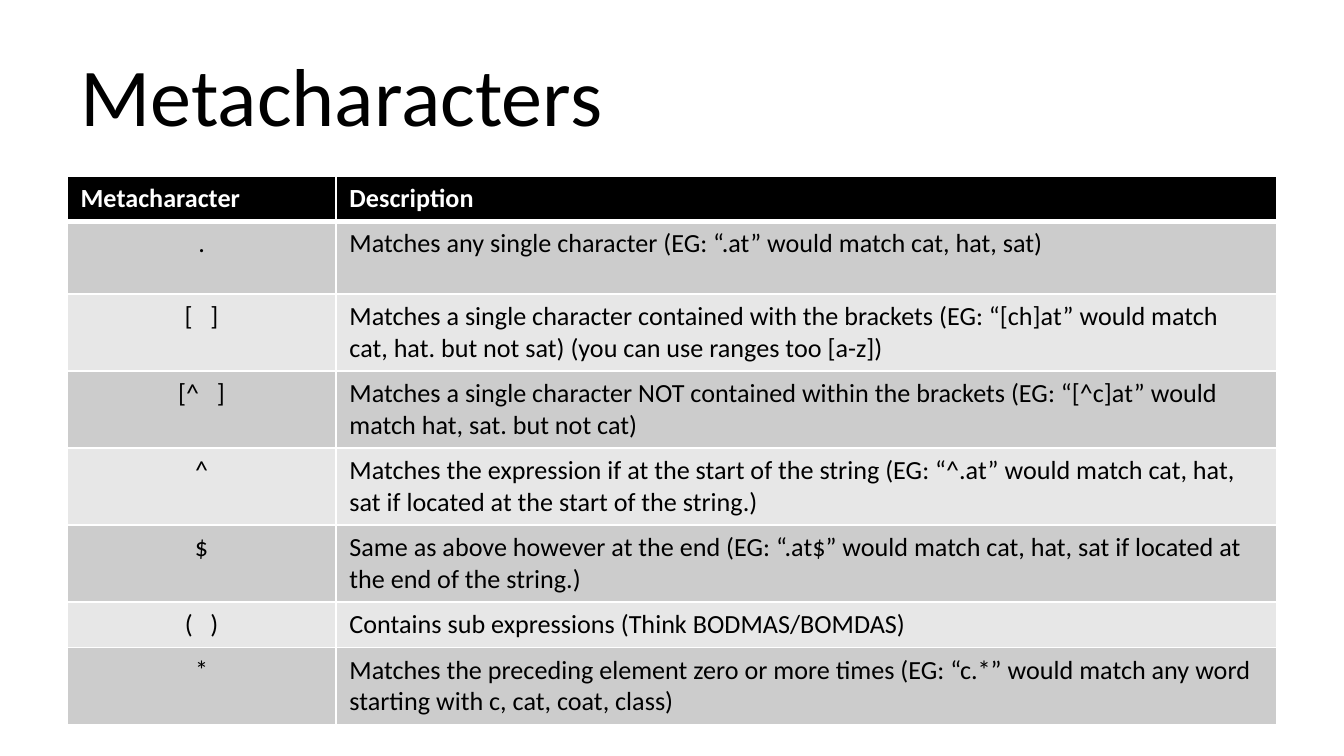
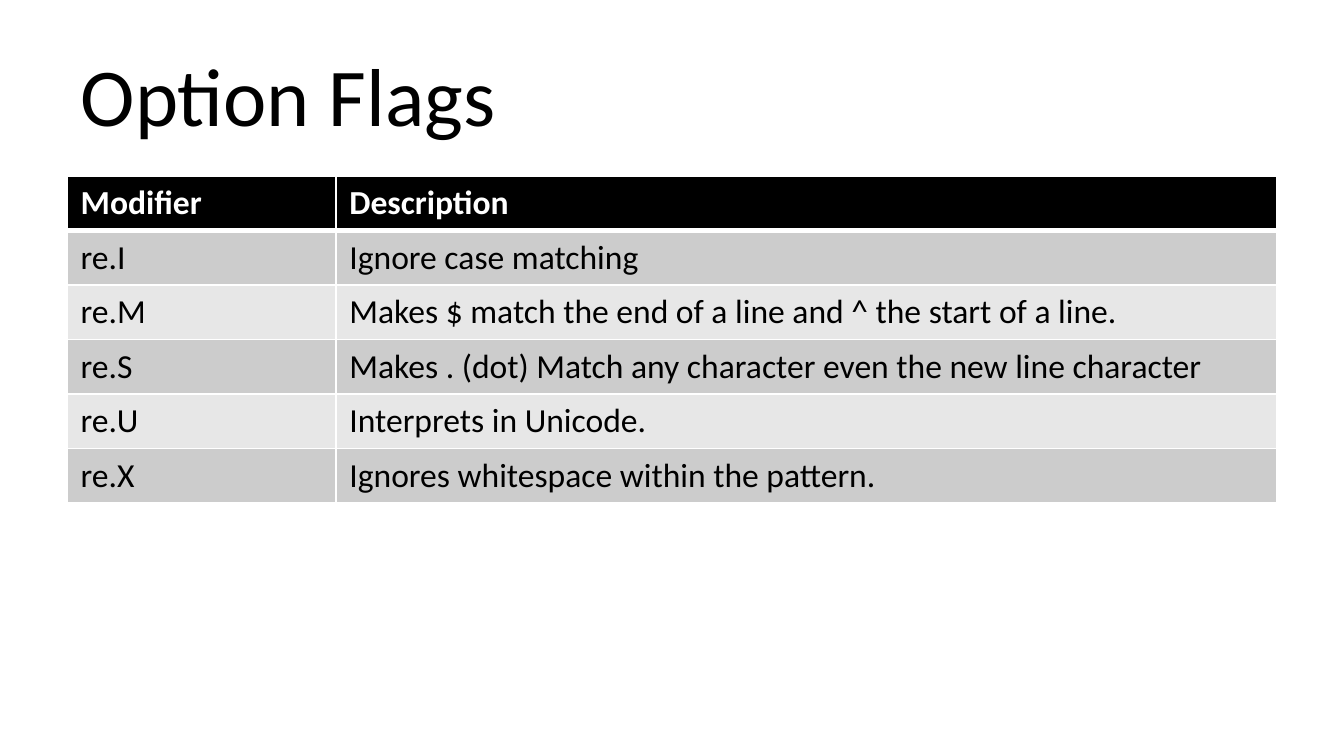
from lxml.etree import SubElement
from pptx import Presentation
from pptx.dml.color import RGBColor
from pptx.enum.text import MSO_ANCHOR as Anchor, MSO_AUTO_SIZE as AutoSize, PP_ALIGN as Align
from pptx.oxml.ns import qn
from pptx.util import Inches, Pt

# Content
SLIDES = [
    {
        "title": "Metacharacters",
        "size": 14,
        "key_align": Align.CENTER,
        "line_heights": {1: 0.31, 2: 0.54},
        "header": ("Metacharacter", "Description"),
        # key, description, lines of room
        "rows": [
            (".", "Matches any single character (EG: “.at” would match cat, hat, sat)", 2),
            ("[   ]", "Matches a single character contained with the brackets (EG: “[ch]at” "
             "would match cat, hat. but not sat) (you can use ranges too [a-z])", 2),
            ("[^   ]", "Matches a single character NOT contained within the brackets "
             "(EG: “[^c]at” would match hat, sat. but not cat)", 2),
            ("^", "Matches the expression if at the start of the string (EG: “^.at” would "
             "match cat, hat, sat if located at the start of the string.)", 2),
            ("$", "Same as above however at the end (EG: “.at$” would match cat, hat, sat "
             "if located at the end of the string.)", 2),
            ("(   )", "Contains sub expressions (Think BODMAS/BOMDAS)", 1),
            ("*", "Matches the preceding element zero or more times (EG: “c.*” would match "
             "any word starting with c, cat, coat, class)", 2),
        ],
    },
    {
        "title": "Option Flags",
        "size": 18,
        "key_align": Align.LEFT,
        "line_heights": {1: 2.43 / 6},
        "header": ("Modifier", "Description"),
        "rows": [
            ("re.I", "Ignore case matching", 1),
            ("re.M", "Makes $ match the end of a line and ^ the start of a line.", 1),
            ("re.S", "Makes . (dot) Match any character even the new line character", 1),
            ("re.U", "Interprets in Unicode.", 1),
            ("re.X", "Ignores whitespace within the pattern.", 1),
        ],
    },
]

# Shared style
FONT = "Calibri"
BLACK, WHITE = "000000", "FFFFFF"
BANDS = ("CCCCCC", "E7E7E7")
THIN, THICK = 1, 3
WIDTH = 10
HEIGHT = WIDTH * 9 / 16
MARGIN = WIDTH / 20
TITLE_TOP, TITLE_HEIGHT = 0.23, 0.94
TABLE_TOP = 1.31
COLUMNS = (2, 7)


def color(value):
    return RGBColor.from_string(value)


def write(frame, text, size, ink, bold=False, align=Align.LEFT):
    para = frame.paragraphs[0]
    para.alignment = align
    span = para.add_run()
    span.text = text
    span.font.name, span.font.size, span.font.bold = FONT, Pt(size), bold
    span.font.color.rgb = color(ink)


def add_borders(cell, top, bottom):
    """Draw white borders; call before the fill, which must follow them in the XML."""
    props = cell._tc.get_or_add_tcPr()
    for side, width in (("L", THIN), ("R", THIN), ("T", top), ("B", bottom)):
        line = SubElement(props, qn(f"a:ln{side}"), w=str(Pt(width)))
        fill = SubElement(line, qn("a:solidFill"))
        SubElement(fill, qn("a:srgbClr"), val=WHITE)


def add_title(page, text):
    box = page.shapes.title
    box.left, box.top = Inches(MARGIN), Inches(TITLE_TOP)
    box.width, box.height = Inches(WIDTH - 2 * MARGIN), Inches(TITLE_HEIGHT)
    frame = box.text_frame
    frame.word_wrap, frame.auto_size = True, AutoSize.NONE
    frame.vertical_anchor = Anchor.MIDDLE
    write(frame, text, 44, BLACK)


def add_reference_table(page, content):
    rows = [(*content["header"], 1), *content["rows"]]
    heights = [content["line_heights"][lines] for *_, lines in rows]
    table = page.shapes.add_table(
        len(rows), len(COLUMNS), Inches(MARGIN), Inches(TABLE_TOP),
        Inches(sum(COLUMNS)), Inches(sum(heights))).table
    for column, width in zip(table.columns, COLUMNS):
        column.width = Inches(width)

    for r, (key, description, _) in enumerate(rows):
        table.rows[r].height = Inches(heights[r])
        is_header = r == 0
        for c, text in enumerate((key, description)):
            cell = table.cell(r, c)
            add_borders(cell, THICK if r == 1 else THIN, THICK if is_header else THIN)
            cell.fill.solid()
            cell.fill.fore_color.rgb = color(BLACK if is_header else BANDS[(r - 1) % 2])
            is_key = c == 0 and not is_header
            write(cell.text_frame, text, content["size"],
                  WHITE if is_header else BLACK, bold=is_header,
                  align=content["key_align"] if is_key else Align.LEFT)


def main():
    deck = Presentation()
    deck.slide_width, deck.slide_height = Inches(WIDTH), Inches(HEIGHT)
    title_only = deck.slide_layouts[5]
    for content in SLIDES:
        page = deck.slides.add_slide(title_only)
        page.background.fill.solid()
        page.background.fill.fore_color.rgb = color(WHITE)
        add_title(page, content["title"])
        add_reference_table(page, content)
    deck.save("out.pptx")


if __name__ == "__main__":
    main()
